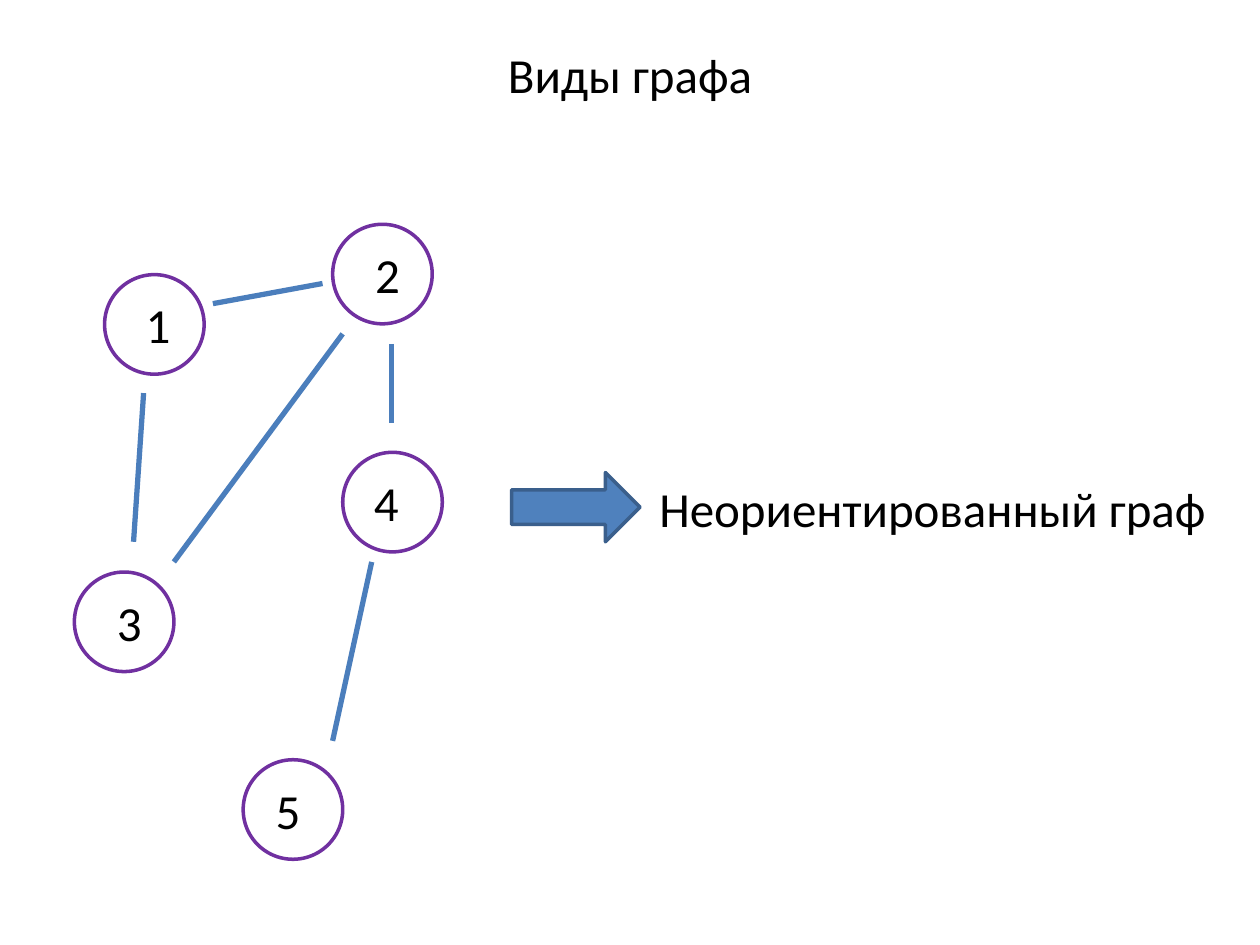
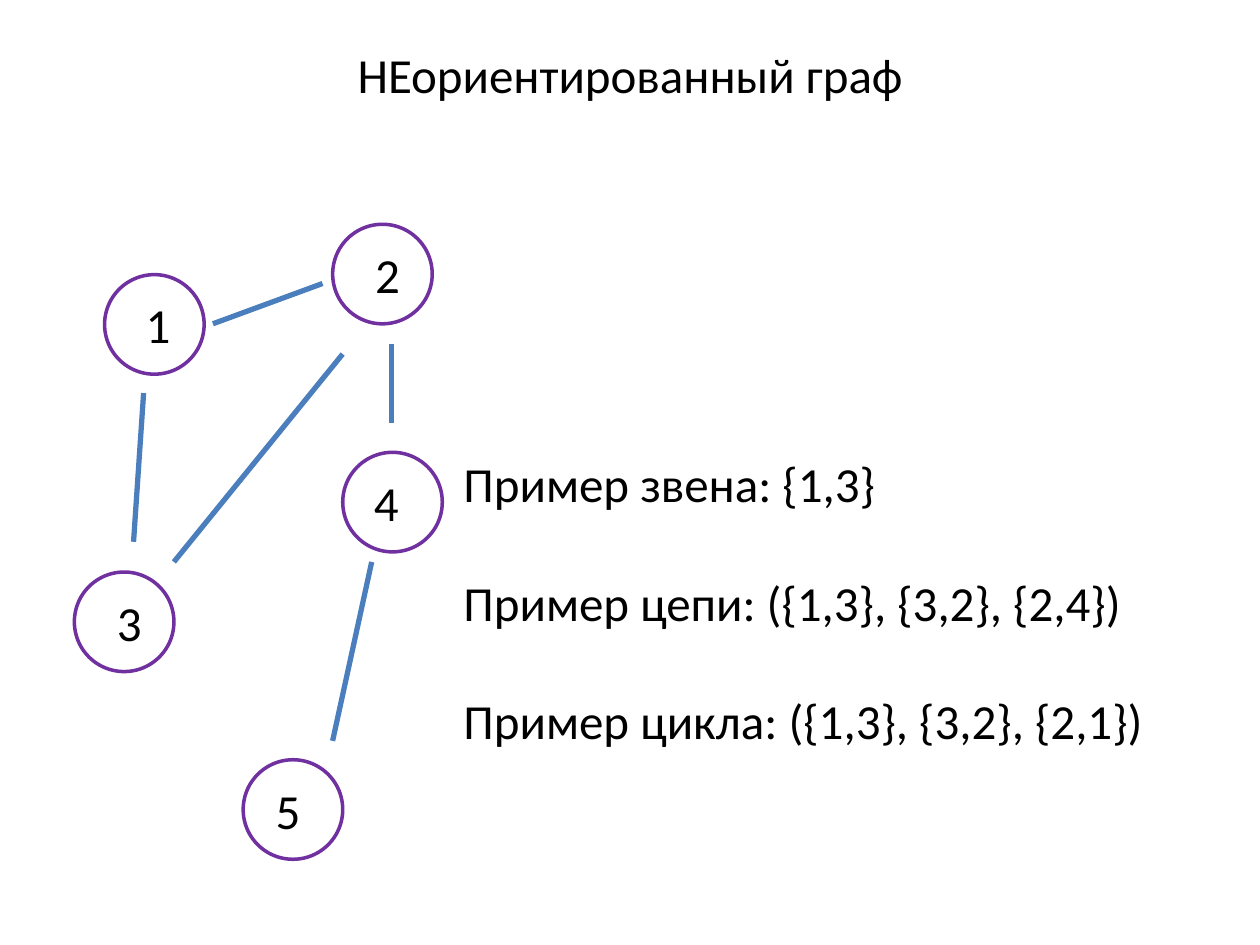
from lxml import etree
from pptx import Presentation
from pptx.dml.color import RGBColor
from pptx.enum.shapes import MSO_CONNECTOR, MSO_SHAPE
from pptx.enum.text import MSO_ANCHOR, PP_ALIGN
from pptx.oxml.ns import qn
from pptx.util import Inches, Pt

FONT, SIZE = "Calibri", 28
BLACK, WHITE, PURPLE = "000000", "FFFFFF", "7030A0"
EDGE_BLUE, ARROW_BLUE, ARROW_LINE = "4B7EBC", "4F81BD", "3A5F8C"
DIAMETER = 0.79
LABEL_W, LABEL_H = 0.39, 0.63

# label: (circle left, circle top, label left)
NODES = {
    "1": (0.83, 2.18, 1.06),
    "2": (2.64, 1.78, 2.88),
    "3": (0.59, 4.54, 0.83),
    "4": (2.72, 3.59, 2.87),
    "5": (1.93, 6.03, 2.09),
}
# (node, node): (start x, start y, end x, end y)
EDGES = {
    ("2", "1"): (2.56, 2.25, 1.69, 2.41),
    ("1", "3"): (1.14, 3.12, 1.06, 4.3),
    ("3", "2"): (1.38, 4.46, 2.72, 2.65),
    ("2", "4"): (3.11, 2.73, 3.11, 3.36),
    ("4", "5"): (2.95, 4.46, 2.64, 5.88),
}
LOWERED_EDGES = {
    ("2", "1"): (2.56, 2.25, 1.69, 2.57),
    ("3", "2"): (1.38, 4.46, 2.72, 2.81),
}
KIND = "Неориентированный граф"
EXAMPLES = [
    "Пример звена: {1,3}",
    "Пример цепи: ({1,3}, {3,2}, {2,4})",
    "Пример цикла: ({1,3}, {3,2}, {2,1})",
]


def rgb(color):
    return RGBColor.from_string(color)


def add_text(s, box, lines, align=PP_ALIGN.CENTER, gap=0, side=0.1, bottom=0.05):
    """Add a vertically centred text box; gap is the space between lines in points."""
    tf = s.shapes.add_textbox(*map(Inches, box)).text_frame
    tf.word_wrap = True
    tf.vertical_anchor = MSO_ANCHOR.MIDDLE
    tf.margin_left = tf.margin_right = Inches(side)
    tf.margin_bottom = Inches(bottom)
    for i, line in enumerate(lines):
        p = tf.add_paragraph() if i else tf.paragraphs[0]
        p.alignment = align
        if i and gap:
            p.space_before = Pt(gap)
        r = p.add_run()
        r.text = line
        r.font.name, r.font.size = FONT, Pt(SIZE)
        r.font.color.rgb = rgb(BLACK)


def add_shape(s, kind, box, fill, line):
    sp = s.shapes.add_shape(kind, *map(Inches, box))
    sp.shadow.inherit = False
    sp.fill.solid()
    sp.fill.fore_color.rgb = rgb(fill)
    sp.line.color.rgb = rgb(line)
    sp.line.width = Pt(2)


def add_edge(s, ends):
    c = s.shapes.add_connector(MSO_CONNECTOR.STRAIGHT, *map(Inches, ends))
    c.line.color.rgb = rgb(EDGE_BLUE)
    c.line.width = Pt(3)
    etree.SubElement(c._element.spPr, qn("a:effectLst"))


def add_graph_slide(prs, title, edges):
    s = prs.slides.add_slide(prs.slide_layouts[6])
    for left, top, _ in NODES.values():
        add_shape(s, MSO_SHAPE.OVAL, (left, top, DIAMETER, DIAMETER), WHITE, PURPLE)
    add_text(s, (0, 0, 10, 1.18), [title])
    for ends in edges.values():
        add_edge(s, ends)
    for label, (_, top, left) in NODES.items():
        label_top = top + (DIAMETER - LABEL_H) / 2
        add_text(s, (left, label_top, LABEL_W, LABEL_H), [label], side=0)
    return s


def main():
    prs = Presentation()
    prs.slide_width, prs.slide_height = Inches(10), Inches(7.5)

    s = add_graph_slide(prs, "Виды графа", EDGES)
    add_text(s, (4.8, 3.44, 5.2, 1.18), [KIND])
    add_shape(s, MSO_SHAPE.RIGHT_ARROW, (4.06, 3.75, 1.02, 0.55), ARROW_BLUE, ARROW_LINE)

    s = add_graph_slide(prs, "НЕориентированный граф", EDGES | LOWERED_EDGES)
    add_text(s, (3.58, 3.04, 6.18, 3.94), EXAMPLES, PP_ALIGN.LEFT, gap=34, bottom=0.52)

    prs.save("out.pptx")


if __name__ == "__main__":
    main()
